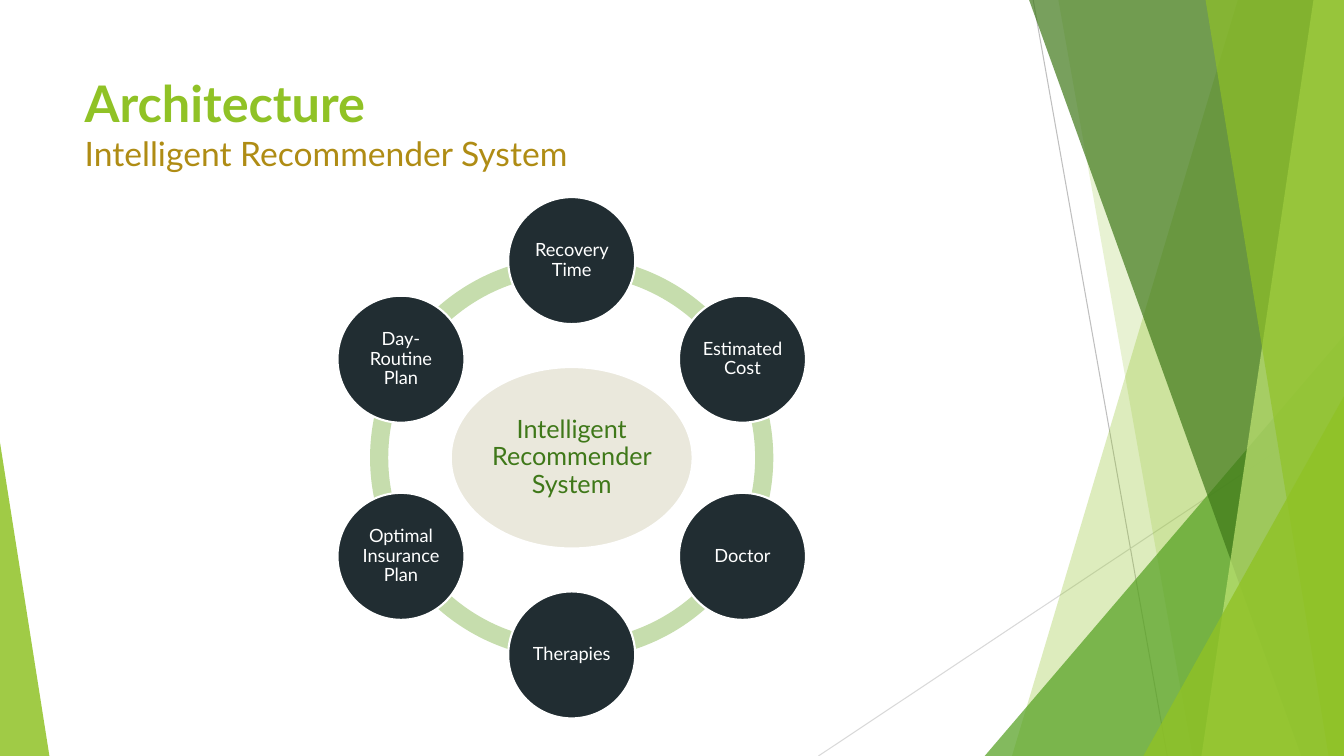
import math
from dataclasses import dataclass

import pptx
import pptx.dml.color
import pptx.enum.shapes
import pptx.enum.text
import pptx.oxml
import pptx.oxml.ns
import pptx.util

Pt = pptx.util.Pt
SHAPE = pptx.enum.shapes.MSO_SHAPE
ALIGN = pptx.enum.text.PP_ALIGN
ANCHOR = pptx.enum.text.MSO_ANCHOR


@dataclass(frozen=True)
class Theme:
    font: str = "Lato"
    lime: str = "90C226"
    pale_lime: str = "C0E474"
    green: str = "54A021"
    forest: str = "3F7819"
    gold: str = "AF8C14"
    ring: str = "C6DDAD"
    hub: str = "EAE8DC"
    node: str = "212D32"
    white: str = "FFFFFF"
    grey: str = "BFBFBF"
    light_grey: str = "D9D9D9"
    title_size: float = 36
    subtitle_size: float = 24
    hub_size: float = 18
    node_size: float = 13


THEME = Theme()
WIDTH, HEIGHT = 960, 540
SATELLITES = ["Recovery Time", "Estimated Cost", "Doctor", "Therapies",
              "Optimal Insurance Plan", "Day-Routine Plan"]


def rgb(color):
    return pptx.dml.color.RGBColor.from_string(color)


def apply(target, formats):
    for name, value in formats.items():
        setattr(target, name, value)


def write(para, text, size, color, bold=False):
    span = para.add_run()
    span.text = text
    apply(span.font, {"name": THEME.font, "size": Pt(size), "bold": bold})
    span.font.color.rgb = rgb(color)


def paint(shape, color, opacity=100, outline=None):
    shape.shadow.inherit = False
    shape.fill.solid()
    shape.fill.fore_color.rgb = rgb(color)
    if opacity < 100:
        tint = shape._element.spPr.find(".//" + pptx.oxml.ns.qn("a:srgbClr"))
        alpha = pptx.oxml.parse_xml(
            f'<a:alpha {pptx.oxml.ns.nsdecls("a")} val="{opacity * 1000}"/>')
        tint.append(alpha)
    if outline:
        shape.line.color.rgb = rgb(outline)
        shape.line.width = Pt(1.5)
    else:
        shape.line.fill.background()


def add_preset(page, kind, box, adjustments=()):
    shape = page.shapes.add_shape(kind, *map(Pt, box))
    for index, value in enumerate(adjustments):
        shape.adjustments[index] = value
    return shape


def add_hairline(page, start, end, color):
    line = page.shapes.add_connector(
        pptx.enum.shapes.MSO_CONNECTOR.STRAIGHT, *map(Pt, start + end))
    line.line.color.rgb = rgb(color)
    line.line.width = Pt(0.75)
    line._element.spPr.append(
        pptx.oxml.parse_xml(f'<a:effectLst {pptx.oxml.ns.nsdecls("a")}/>'))


def add_band(page, box, top_x, bottom_x, color, opacity):
    """Fill from a slanted left edge to the right side of the box."""
    left, top, width, height = box
    right, bottom = left + width, top + height
    builder = page.shapes.build_freeform(Pt(left + top_x), Pt(top), scale=1.0)
    corners = [(right, top), (right, bottom), (left + bottom_x, bottom)]
    builder.add_line_segments([(Pt(x), Pt(y)) for x, y in corners], close=True)
    paint(builder.convert_to_shape(), color, opacity)


def add_wedge(page, box, width, height, side, color, opacity):
    """Stand a right triangle in the left (side 0) or right (side 1) corner."""
    left, top, box_width, box_height = box
    place = (left + side * (box_width - width), top + box_height - height,
             width, height)
    paint(add_preset(page, SHAPE.ISOSCELES_TRIANGLE, place, [side]), color, opacity)


def add_facets(page, box):
    left, top, width, height = box
    right, bottom = left + width, top + height
    add_hairline(page, (left + 738, top), (left + 833.76, bottom), THEME.grey)
    add_hairline(page, (right, top + 290.2), (left + 584.6, bottom),
                 THEME.light_grey)
    for add_facet, *values in [
        (add_band, 884.2, 722.9, THEME.lime, 30),
        (add_band, 756, 851.8, THEME.lime, 20),
        (add_wedge, 256.6, 300.2, 1, THEME.green, 72),
        (add_band, 735.1, 929.5, THEME.forest, 70),
        (add_band, 938.2, 858.2, THEME.pale_lime, 70),
        (add_band, 861.1, 949, THEME.lime, 65),
        (add_wedge, 143.3, 257, 1, THEME.lime, 80),
        (add_wedge, 35.3, 223.9, 0, THEME.lime, 85),
    ]:
        add_facet(page, box, *values)


def add_title(page, box):
    title = page.shapes.title
    apply(title, dict(zip(("left", "top", "width", "height"), map(Pt, box))))
    apply(title.text_frame, {"vertical_anchor": ANCHOR.TOP, "word_wrap": True,
                             "auto_size": pptx.enum.text.MSO_AUTO_SIZE.NONE})
    para = title.text_frame.paragraphs[0]
    para.alignment = ALIGN.LEFT
    write(para, "Architecture", THEME.title_size, THEME.lime, True)
    para.add_line_break()
    write(para, "Intelligent Recommender System", THEME.subtitle_size, THEME.gold)


def add_disc(page, center, width, height, fill, text, size, color, inset):
    x, y = center
    disc = add_preset(page, SHAPE.OVAL,
                      (x - width / 2, y - height / 2, width, height))
    paint(disc, fill, outline=THEME.white)
    frame = disc.text_frame
    apply(frame, {"word_wrap": True, "vertical_anchor": ANCHOR.MIDDLE})
    apply(frame, {f"margin_{side}": Pt(inset)
                  for side in ("left", "top", "right", "bottom")})
    apply(frame.paragraphs[0], {"alignment": ALIGN.CENTER, "line_spacing": 0.9})
    write(frame.paragraphs[0], text, size, color)


def add_radial_cycle(page, box):
    left, top, width, height = box
    center = (left + width / 2, top + height / 2)
    step = 360 / len(SATELLITES)
    for index in reversed(range(len(SATELLITES))):
        start = (270 + index * step) % 360
        end = (start + step) % 360
        # Arc angles are stored in 60000ths of a degree, adjustments in 100000ths.
        arc = add_preset(page, SHAPE.BLOCK_ARC, box,
                         [start * 0.6, end * 0.6, 0.045])
        paint(arc, THEME.ring)
    add_disc(page, center, width * 0.6, height * 0.45, THEME.hub,
             "Intelligent Recommender System", THEME.hub_size, THEME.forest, 2)
    radius, diameter = width * 0.489, width * 0.315
    for index, label in enumerate(SATELLITES):
        angle = math.radians(index * step - 90)
        spot = (center[0] + radius * math.cos(angle),
                center[1] + radius * math.sin(angle))
        add_disc(page, spot, diameter, diameter, THEME.node, label,
                 THEME.node_size, THEME.white, 1.3)


def main():
    deck = pptx.Presentation()
    apply(deck, {"slide_width": Pt(WIDTH), "slide_height": Pt(HEIGHT)})
    page = deck.slides.add_slide(deck.slide_layouts[5])
    add_facets(page, (0, 0, WIDTH, HEIGHT))
    add_title(page, (53.3, 48.2, 676.8, 103.7))
    add_radial_cycle(page, (264.4, 183, 288, 288))
    deck.save("out.pptx")


if __name__ == "__main__":
    main()
